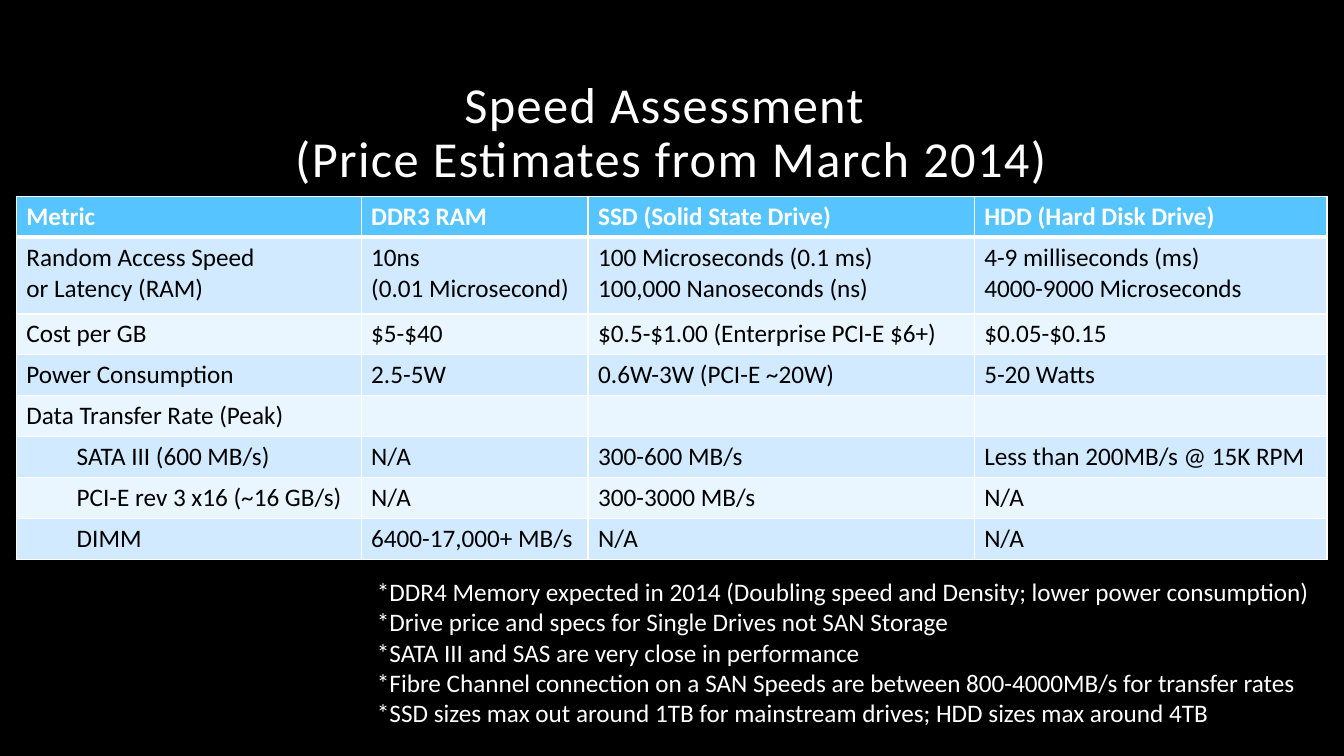
from lxml.etree import SubElement
from pptx import Presentation
from pptx.dml.color import RGBColor
from pptx.enum.text import MSO_ANCHOR, MSO_AUTO_SIZE, PP_ALIGN
from pptx.oxml.ns import qn
from pptx.util import Cm, Pt

WHITE, BLACK = "FFFFFF", "000000"
HEADER, BANDS = "56C5FF", ("E9F5FF", "D1EAFF")
TITLE = "Speed Assessment \v(Price Estimates from March 2014)"
COLUMNS = (8.69, 5.72, 9.73, 8.89)
ROW_HEIGHT, TALL_ROW_HEIGHT = 1.03, 1.93
METRICS = [
    ("Metric", "DDR3 RAM", "SSD (Solid State Drive)", "HDD (Hard Disk Drive)"),
    ("Random Access Speed\vor Latency (RAM)", "10ns\n(0.01 Microsecond)",
     "100 Microseconds (0.1 ms)\v100,000 Nanoseconds (ns)",
     "4-9 milliseconds (ms)\v4000-9000 Microseconds"),
    ("Cost per GB", "$5-$40", "$0.5-$1.00 (Enterprise PCI-E $6+)", "$0.05-$0.15"),
    ("Power Consumption", "2.5-5W", "0.6W-3W (PCI-E ~20W)", "5-20 Watts"),
    ("Data Transfer Rate (Peak)", "", "", ""),
    ("SATA III (600 MB/s)", "N/A", "300-600 MB/s", "Less than 200MB/s @ 15K RPM"),
    ("PCI-E rev 3 x16 (~16 GB/s)", "N/A", "300-3000 MB/s", "N/A"),
    ("DIMM", "6400-17,000+ MB/s", "N/A", "N/A"),
]
FIRST_INTERFACE_ROW = 5
NOTES = "\n".join([
    "*DDR4 Memory expected in 2014 (Doubling speed and Density; lower power consumption)",
    "*Drive price and specs for Single Drives not SAN Storage",
    "*SATA III and SAS are very close in performance",
    "*Fibre Channel connection on a SAN Speeds are between 800-4000MB/s for transfer rates",
    "*SSD sizes max out around 1TB for mainstream drives; HDD sizes max around 4TB",
])


def rgb(color):
    return RGBColor.from_string(color)


def write(tf, text, color, size=18, bold=False, spacing=None, **paragraph_format):
    tf.text = text
    font_format = {"name": "Calibri", "size": Pt(size), "bold": bold}
    for p in tf.paragraphs:
        for name, value in paragraph_format.items():
            setattr(p, name, value)
        for r in p.runs:
            for name, value in font_format.items():
                setattr(r.font, name, value)
            r.font.color.rgb = rgb(color)
            if spacing:
                r.font._element.set("spc", str(spacing))


def add_text(s, box, text, frame_format, **text_format):
    tf = s.shapes.add_textbox(*map(Cm, box)).text_frame
    for name, value in frame_format.items():
        setattr(tf, name, value)
    write(tf, text, WHITE, **text_format)


def set_borders(cell, widths):
    tcPr = cell._tc.get_or_add_tcPr()
    for side, width in widths.items():
        ln = SubElement(tcPr, qn(f"a:ln{side}"), w=str(Pt(width)))
        fill = SubElement(ln, qn("a:solidFill"))
        SubElement(fill, qn("a:srgbClr"), val=WHITE)


def fill_cell(cell, text, row, col):
    is_header = row == 0
    set_borders(cell, {"L": 1, "R": 1, "T": 3 if row == 1 else 1, "B": 3 if is_header else 1})
    cell.fill.solid()
    cell.fill.fore_color.rgb = rgb(HEADER if is_header else BANDS[row % 2])
    write(cell.text_frame, text, WHITE if is_header else BLACK, bold=is_header)
    if col == 0 and row >= FIRST_INTERFACE_ROW:
        p = cell.text_frame.paragraphs[0]
        p.level = 1
        pPr = p._p.get_or_add_pPr()
        pPr.set("marL", str(Cm(1.27)))
        pPr.set("indent", "0")


def add_metrics_table(s):
    heights = [ROW_HEIGHT] * len(METRICS)
    heights[1] = TALL_ROW_HEIGHT
    box = (0.41, 4.95, sum(COLUMNS), sum(heights))
    table = s.shapes.add_table(len(METRICS), len(COLUMNS), *map(Cm, box)).table
    for column, width in zip(table.columns, COLUMNS):
        column.width = Cm(width)
    for row, texts in enumerate(METRICS):
        table.rows[row].height = Cm(heights[row])
        for col, text in enumerate(texts):
            fill_cell(table.cell(row, col), text, row, col)


def main():
    prs = Presentation()
    prs.slide_width, prs.slide_height = Cm(33.87), Cm(19.05)
    s = prs.slides.add_slide(prs.slide_layouts[6])
    s.background.fill.solid()
    s.background.fill.fore_color.rgb = rgb(BLACK)
    add_text(s, (4.22, 1.07, 25.4, 3.81), TITLE,
             {"word_wrap": True, "vertical_anchor": MSO_ANCHOR.BOTTOM},
             size=36, spacing=100, alignment=PP_ALIGN.CENTER, line_spacing=0.9)
    add_metrics_table(s)
    add_text(s, (9.25, 14.4, 24.49, 4.11), NOTES,
             {"word_wrap": False, "auto_size": MSO_AUTO_SIZE.SHAPE_TO_FIT_TEXT})
    prs.save("out.pptx")


if __name__ == "__main__":
    main()
